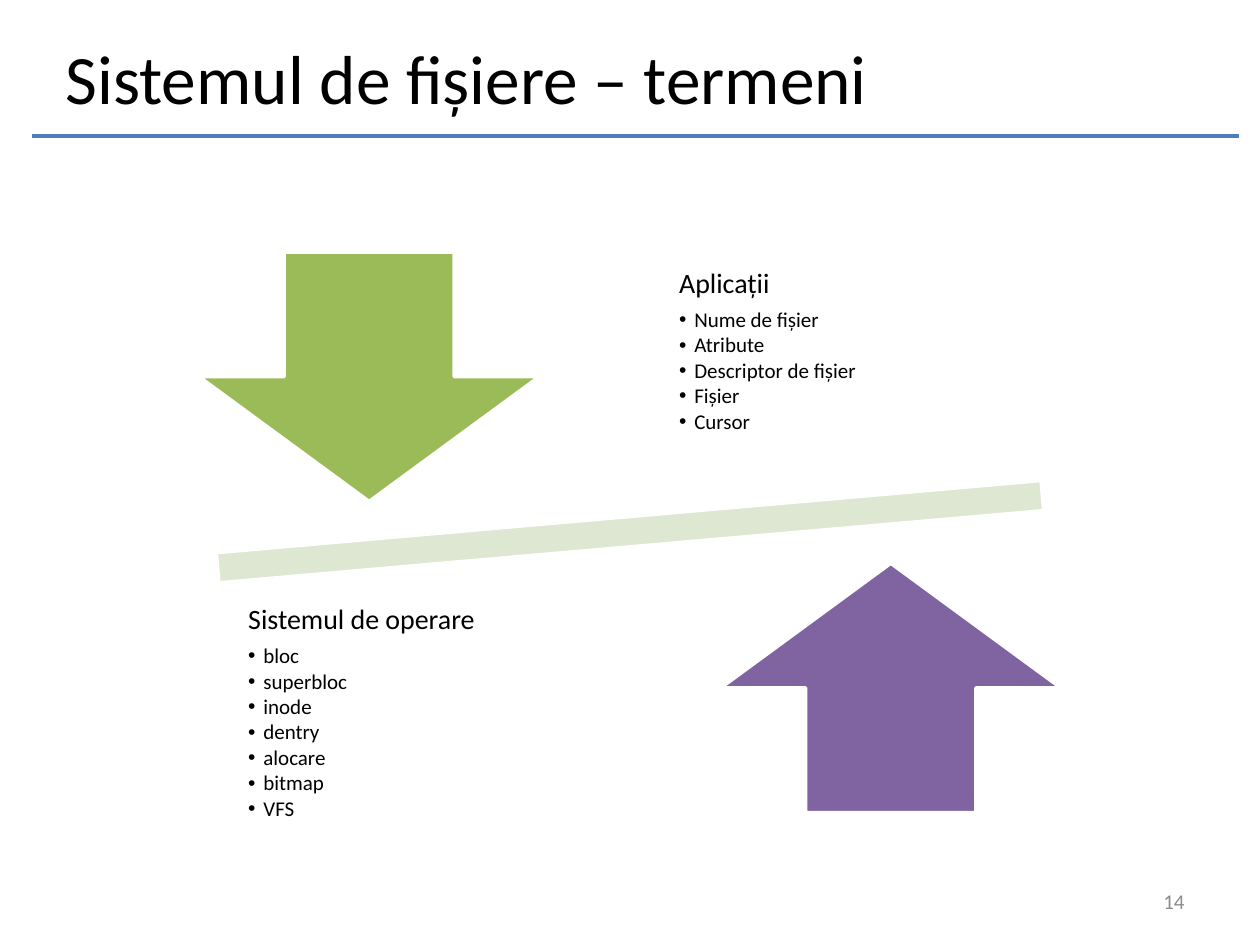
from lxml import etree
from pptx import Presentation
from pptx.dml.color import RGBColor
from pptx.enum import shapes, text
from pptx.oxml import ns
from pptx.util import Inches, Pt

BLACK = RGBColor(0x00, 0x00, 0x00)
WHITE = RGBColor(0xFF, 0xFF, 0xFF)
BLUE = RGBColor(0x4B, 0x7E, 0xBC)
GREEN = RGBColor(0x9B, 0xBB, 0x59)
PALE_GREEN = RGBColor(0xDE, 0xE7, 0xD1)
PURPLE = RGBColor(0x80, 0x64, 0xA2)
GRAY = RGBColor(0x8C, 0x8C, 0x8C)


class SlideBuilder:
    font = "Calibri"
    hang = Inches(0.12)
    line_width = Pt(2)

    def __init__(self, slide):
        self.slide = slide

    def place(self, shape, left, top, width, height):
        shape.left, shape.top = Inches(left), Inches(top)
        shape.width, shape.height = Inches(width), Inches(height)

    def format_runs(self, p, size, color):
        for r in p.runs:
            r.font.name = self.font
            r.font.size = Pt(size)
            r.font.color.rgb = color

    def prepare_frame(self, tf):
        tf.word_wrap = True
        tf.auto_size = text.MSO_AUTO_SIZE.NONE
        tf.vertical_anchor = text.MSO_ANCHOR.MIDDLE

    def title(self, wording, box):
        sp = self.slide.shapes.title
        self.place(sp, *box)
        tf = sp.text_frame
        tf.text = wording
        self.prepare_frame(tf)
        tf.paragraphs[0].alignment = text.PP_ALIGN.LEFT
        self.format_runs(tf.paragraphs[0], 39.6, BLACK)

    def rule(self, x1, x2, y):
        line = self.slide.shapes.add_connector(
            shapes.MSO_CONNECTOR.STRAIGHT,
            Inches(x1), Inches(y), Inches(x2), Inches(y))
        line.line.color.rgb = BLUE
        line.line.width = self.line_width
        etree.SubElement(line._element.spPr, ns.qn("a:effectLst"))

    def shape(self, kind, box, color, rotation=0):
        sp = self.slide.shapes.add_shape(kind, *map(Inches, box))
        sp.shadow.inherit = False
        sp.fill.solid()
        sp.fill.fore_color.rgb = color
        sp.line.color.rgb = WHITE
        sp.line.width = self.line_width
        sp.rotation = rotation

    def term_list(self, idx, heading, terms, box):
        sp = self.slide.placeholders[idx]
        self.place(sp, *box)
        tf = sp.text_frame
        tf.text = "\n".join([heading, *terms])
        self.prepare_frame(tf)
        tf.margin_left = tf.margin_right = self.hang
        tf.margin_top = tf.margin_bottom = self.hang
        for i, p in enumerate(tf.paragraphs):
            is_term = i > 0
            p.line_spacing = 0.9
            p.space_before = Pt(0)
            p.space_after = Pt(1.6 if is_term else 5.6)
            pPr = p._p.get_or_add_pPr()
            pPr.set("marL", str(self.hang if is_term else 0))
            pPr.set("indent", str(-self.hang if is_term else 0))
            if is_term:
                etree.SubElement(pPr, ns.qn("a:buChar"), char="•")
            else:
                etree.SubElement(pPr, ns.qn("a:buNone"))
            self.format_runs(p, 12 if is_term else 16, BLACK)

    def page_number(self, number, box):
        sp = self.slide.shapes.add_textbox(*map(Inches, box))
        tf = sp.text_frame
        tf.text = str(number)
        self.prepare_frame(tf)
        tf.paragraphs[0].alignment = text.PP_ALIGN.RIGHT
        self.format_runs(tf.paragraphs[0], 12, GRAY)


def main():
    prs = Presentation()
    prs.slide_width, prs.slide_height = Inches(10), Inches(7.5)
    s = SlideBuilder(prs.slides.add_slide(prs.slide_layouts[3]))

    s.rule(0.25, 9.83, 1.08)
    s.title("Sistemul de fișiere – termeni", (0.42, 0.3, 7.83, 0.62))
    s.shape(shapes.MSO_SHAPE.MATH_MINUS, (0.53, 3.71, 8.94, 1.02),
            PALE_GREEN, rotation=355)
    s.shape(shapes.MSO_SHAPE.DOWN_ARROW, (1.58, 2, 2.7, 1.98), GREEN)
    s.term_list(1, "Aplicații",
                ["Nume de fișier", "Atribute", "Descriptor de fișier",
                 "Fișier", "Cursor"],
                (5.27, 1.75, 2.88, 2.08))
    s.shape(shapes.MSO_SHAPE.UP_ARROW, (5.72, 4.47, 2.7, 1.98), PURPLE)
    s.term_list(2, "Sistemul de operare",
                ["bloc", "superbloc", "inode", "dentry", "alocare",
                 "bitmap", "VFS"],
                (1.85, 4.62, 2.88, 2.08))
    s.page_number(14, (7.17, 6.95, 2.33, 0.4))

    prs.save("out.pptx")


if __name__ == "__main__":
    main()
